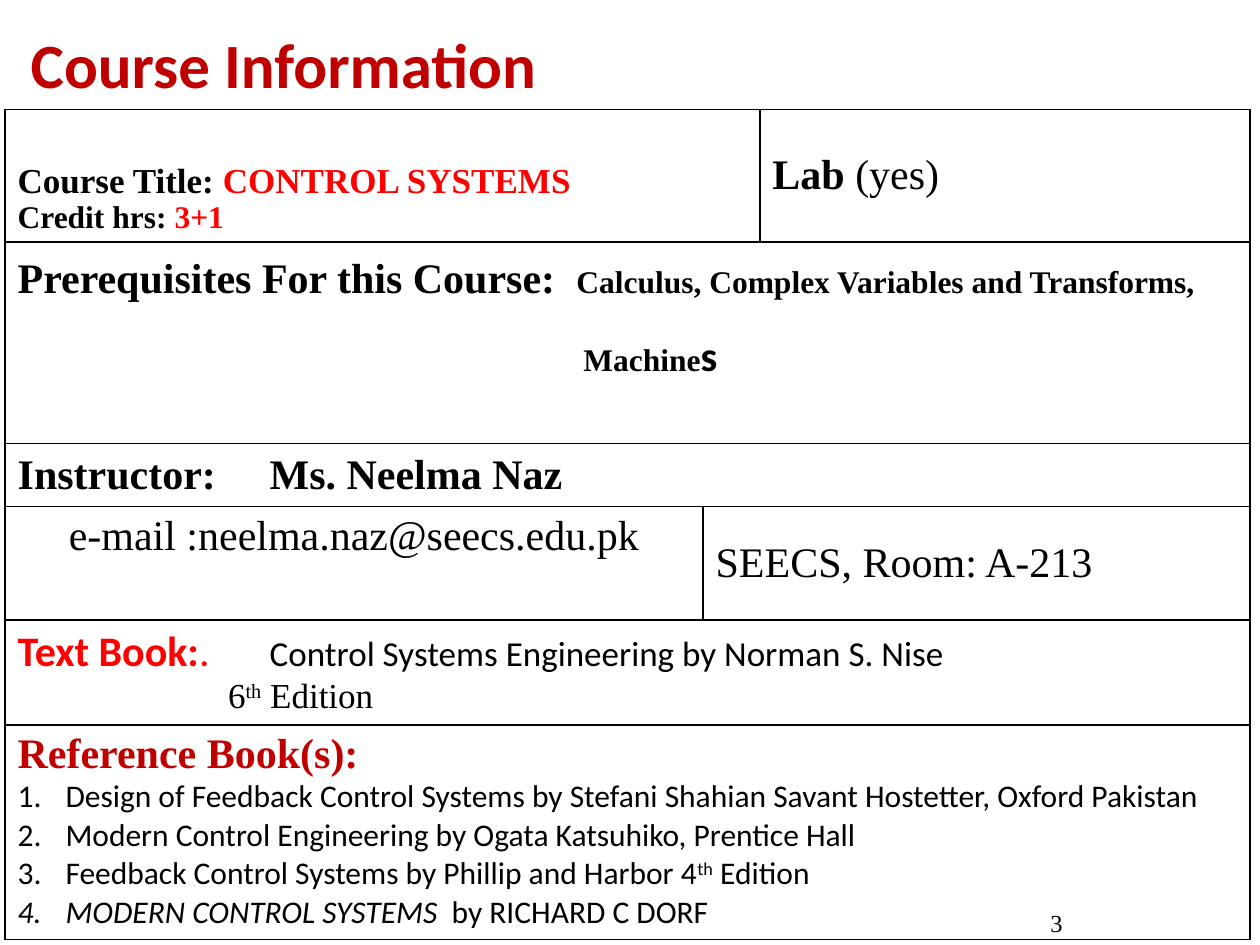
from lxml import etree
from pptx import Presentation
from pptx.dml.color import RGBColor
from pptx.enum.text import MSO_ANCHOR, MSO_AUTO_SIZE, PP_ALIGN
from pptx.oxml.ns import qn
from pptx.util import Inches, Pt

TOP, MIDDLE, BOTTOM = MSO_ANCHOR.TOP, MSO_ANCHOR.MIDDLE, MSO_ANCHOR.BOTTOM
CENTER = PP_ALIGN.CENTER
SERIF, SANS = "Times New Roman", "Calibri"
BLACK, RED, DARK_RED = "000000", "FF0000", "C00000"


def add_run(paragraph, text, size, bold=False, color=BLACK, font=SERIF,
            italic=False, superscript=False):
    run = paragraph.add_run()
    run.text = text
    run.font.size = Pt(size)
    run.font.bold = bold
    run.font.italic = italic
    run.font.name = font
    run.font.color.rgb = RGBColor.from_string(color)
    if superscript:
        run.font._element.set("baseline", "30000")


def set_layout(paragraph, left=0, indent=0, tab=None, numbered=False):
    """Set indents, automatic numbering and a left tab stop, in inches."""
    properties = paragraph._p.get_or_add_pPr()
    properties.set("marL", str(Inches(left)))
    properties.set("indent", str(Inches(indent)))
    if numbered:
        etree.SubElement(properties, qn("a:buFont"), typeface="+mj-lt")
        etree.SubElement(properties, qn("a:buAutoNum"), type="arabicPeriod")
    if tab:
        tabs = etree.SubElement(properties, qn("a:tabLst"))
        etree.SubElement(tabs, qn("a:tab"), pos=str(Inches(tab)), algn="l")


presentation = Presentation()
presentation.slide_width = Inches(10)
presentation.slide_height = Inches(7.5)
slide = presentation.slides.add_slide(presentation.slide_layouts[5])

# Title
title = slide.shapes.title
title.left, title.top = Inches(0.12), Inches(0.15)
title.width, title.height = Inches(4.26), Inches(0.71)
title.text_frame.word_wrap = False
title.text_frame.auto_size = MSO_AUTO_SIZE.SHAPE_TO_FIT_TEXT
title.text_frame.vertical_anchor = MIDDLE
title.text_frame.paragraphs[0].alignment = CENTER
add_run(title.text_frame.paragraphs[0], "Course Information", 36, True, DARK_RED, SANS)

# Course table
column_widths = [5.54, 0.45, 3.89]
row_heights = [1.05, 1.6, 0.5, 0.9, 0.83, 1.7]
frame = slide.shapes.add_table(len(row_heights), len(column_widths), Inches(0.04),
                               Inches(0.87), Inches(sum(column_widths)),
                               Inches(sum(row_heights)))
table = frame.table
table.first_row = table.horz_banding = False
for column, width in zip(table.columns, column_widths):
    column.width = Inches(width)
for row, height in zip(table.rows, row_heights):
    row.height = Inches(height)
for cell in table.iter_cells():
    properties = cell._tc.get_or_add_tcPr()
    for side in ("a:lnL", "a:lnR", "a:lnT", "a:lnB"):
        line = etree.SubElement(properties, qn(side), w=str(Pt(1)))
        fill = etree.SubElement(line, qn("a:solidFill"))
        etree.SubElement(fill, qn("a:srgbClr"), val=BLACK)
    cell.fill.background()

# Row, first column, last column, anchor, paragraphs of runs
cells = [
    (0, 0, 1, BOTTOM, [
        [("Course Title: ", 20, True), ("CONTROL SYSTEMS", 20, True, RED)],
        [("Credit hrs: ", 18, True), ("3+1", 18, True, RED)]]),
    (0, 2, 2, MIDDLE, [[("Lab ", 24, True), ("(yes)", 24)]]),
    (1, 0, 2, TOP, [
        [("Prerequisites For this Course:  ", 24, True),
         ("Calculus, Complex Variables and Transforms,", 18, True)],
        [("Machine", 18, True), ("s", 24, True, BLACK, SANS)]]),
    (2, 0, 2, MIDDLE, [[("Instructor:\tMs. Neelma Naz", 24, True)]]),
    (3, 0, 0, TOP, [[("e-mail :neelma.naz@seecs.edu.pk", 24)]]),
    (3, 1, 2, MIDDLE, [[("SEECS, Room: A-213", 24)]]),
    (4, 0, 2, TOP, [
        [("Text Book:", 24, True, RED, SANS), (".\t", 24, False, RED, SANS),
         ("Control Systems Engineering by Norman S. Nise", 20, False, BLACK, SANS)],
        [("6", 20), ("th", 20, False, BLACK, SERIF, False, True), (" Edition", 20)]]),
    (5, 0, 2, TOP, [[("Reference Book(s):", 24, True, DARK_RED)]] + [
        [(text, 18, False, BLACK, SANS, *style) for text, *style in book]
        for book in (
            [("Design of Feedback Control Systems by Stefani Shahian Savant "
              "Hostetter, Oxford Pakistan",)],
            [("Modern Control Engineering by Ogata Katsuhiko, Prentice Hall",)],
            [("Feedback Control Systems by Phillip and Harbor 4",),
             ("th", False, True), (" Edition",)],
            [("MODERN CONTROL SYSTEMS", True), ("  by RICHARD C DORF",)])]),
]
for row, first, last, anchor, paragraphs in cells:
    cell = table.cell(row, first)
    if last > first:
        cell.merge(table.cell(row, last))
    cell.vertical_anchor = anchor
    for index, runs in enumerate(paragraphs):
        text_frame = cell.text_frame
        paragraph = text_frame.add_paragraph() if index else text_frame.paragraphs[0]
        for run in runs:
            add_run(paragraph, *run)

prerequisites = table.cell(1, 0)
prerequisites.margin_top = Inches(0.11)
machines = prerequisites.text_frame.paragraphs[1]
machines.space_before = Pt(17)
set_layout(machines, left=4.49)
set_layout(table.cell(2, 0).text_frame.paragraphs[0], tab=1.9)
table.cell(3, 0).text_frame.paragraphs[0].alignment = CENTER
text_book, edition = table.cell(4, 0).text_frame.paragraphs
set_layout(text_book, tab=2.07)
set_layout(edition, left=1.67)
for book in table.cell(5, 0).text_frame.paragraphs[1:]:
    set_layout(book, left=0.38, indent=-0.38, numbered=True)

# Slide number
number_box = slide.shapes.add_textbox(Inches(6.76), Inches(7.07), Inches(3.25), Inches(0.42))
number_box.text_frame.word_wrap = True
number_box.text_frame.vertical_anchor = BOTTOM
number_box.text_frame.paragraphs[0].alignment = CENTER
add_run(number_box.text_frame.paragraphs[0], "3", 14)

presentation.save("out.pptx")
